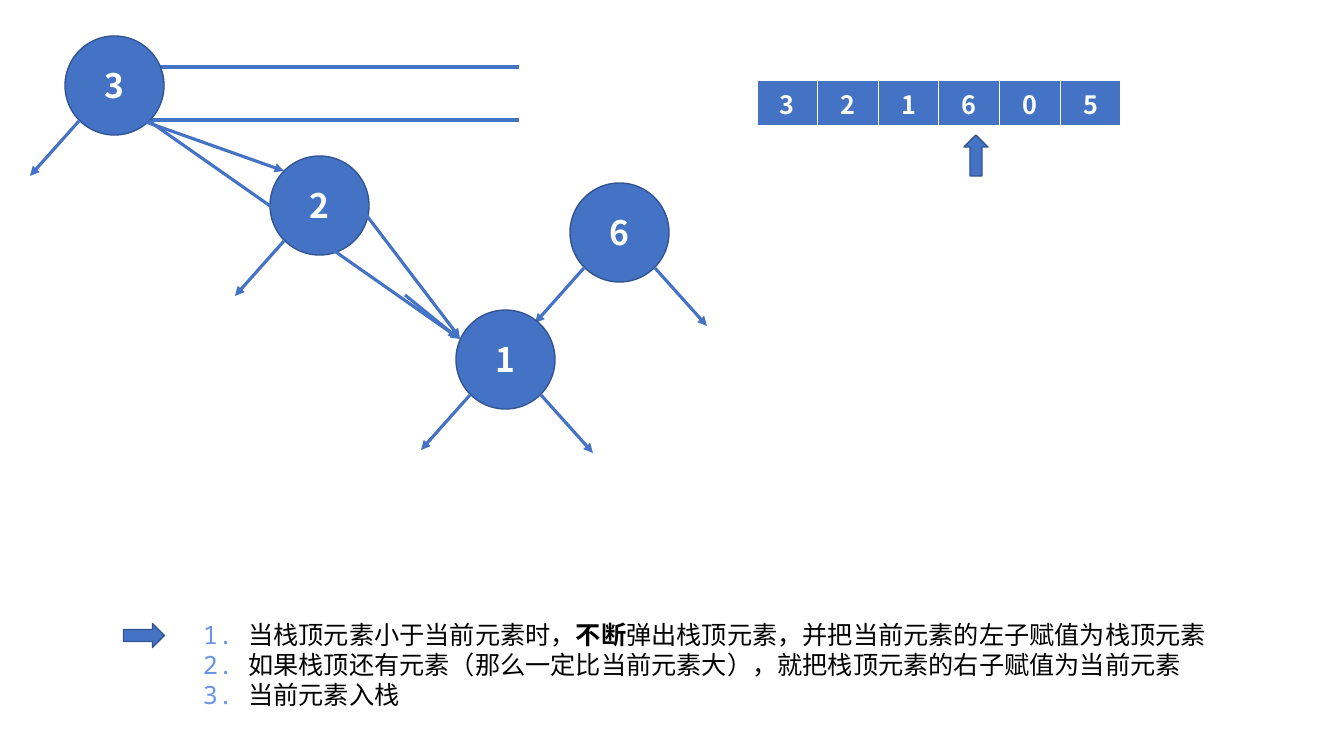
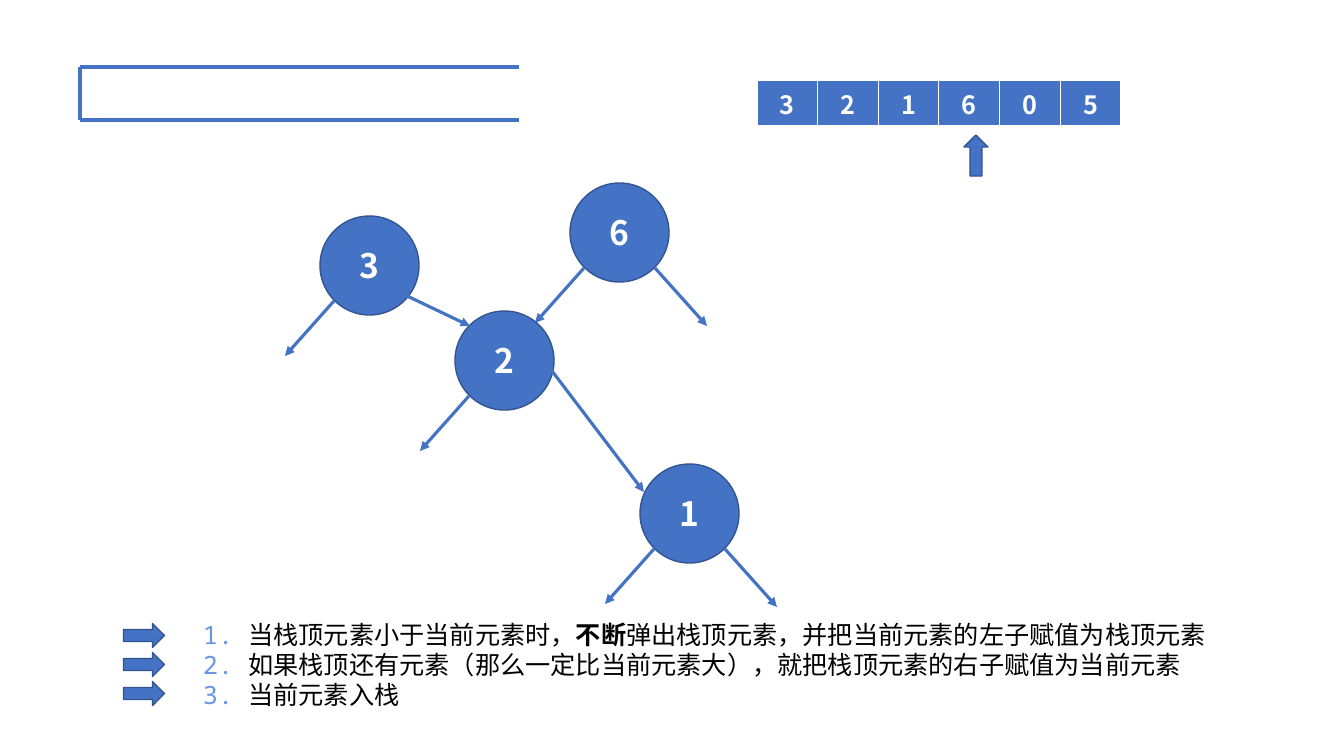
from lxml import etree
from pptx import Presentation
from pptx.dml.color import RGBColor
from pptx.enum.shapes import MSO_CONNECTOR, MSO_SHAPE
from pptx.enum.text import MSO_ANCHOR, PP_ALIGN
from pptx.oxml.ns import qn
from pptx.util import Pt

STRAIGHT = MSO_CONNECTOR.STRAIGHT
OVAL, UP_ARROW = MSO_SHAPE.OVAL, MSO_SHAPE.UP_ARROW
MIDDLE, CENTER, LEFT = MSO_ANCHOR.MIDDLE, PP_ALIGN.CENTER, PP_ALIGN.LEFT

SCALE = 12192000 / 1344
COLORS = {"blue": "4472C4", "edge": "325491", "white": "FFFFFF",
          "number": "6796E6", "black": "000000"}
SANS, MONO = "Noto Sans CJK SC", "Noto Sans Mono"

VALUES = "321605"
NODE_SIZE = 99
LEFT_CHILD = ((14, 85), (-35, 140))
RIGHT_CHILD = ((85, 85), (137, 143))
RIGHT_LINK = (94, 56)
NODE_SIX = ("6", 570, 183, (LEFT_CHILD, RIGHT_CHILD))
STEPS = [
    [("1. ", "number", False), ("当栈顶元素小于当前元素时，", "black", False),
     ("不断", "black", True),
     ("弹出栈顶元素，并把当前元素的左子赋值为栈顶元素", "black", False)],
    [("2. ", "number", False),
     ("如果栈顶还有元素（那么一定比当前元素大），就把栈顶元素的右子赋值为当前元素",
      "black", False)],
    [("3. ", "number", False), ("当前元素入栈", "black", False)],
]


def px(length):
    return round(length * SCALE)


def rgb(name):
    return RGBColor.from_string(COLORS[name])


def add_text(para, text, size=18, font=SANS, color="white", bold=False, align=LEFT):
    para.alignment = align
    span = para.add_run()
    span.text = text
    span.font.size = Pt(size)
    span.font.bold = bold
    span.font.name = font
    span.font.color.rgb = rgb(color)
    east_asian = etree.SubElement(span.font._element, qn("a:ea"))
    east_asian.set("typeface", font)


def add_line(page, start, end, arrow=False):
    line = page.shapes.add_connector(STRAIGHT, *map(px, start + end))
    line.line.color.rgb = rgb("blue")
    line.line.width = Pt(2.25)
    if arrow:
        etree.SubElement(line.line._get_or_add_ln(), qn("a:tailEnd"), type="triangle")
    etree.SubElement(line._element.spPr, qn("a:effectLst"))


def add_blue_shape(page, kind, left, top, width, height):
    shape = page.shapes.add_shape(kind, *map(px, (left, top, width, height)))
    shape.shadow.inherit = False
    shape.fill.solid()
    shape.fill.fore_color.rgb = rgb("blue")
    shape.line.color.rgb = rgb("edge")
    shape.line.width = Pt(1)
    return shape


def add_pointer(page, left, top, rotation=0):
    add_blue_shape(page, UP_ARROW, left, top, 24, 41).rotation = rotation


def add_node(page, label, left, top, children):
    circle = add_blue_shape(page, OVAL, left, top, NODE_SIZE, NODE_SIZE)
    circle.text_frame.vertical_anchor = MIDDLE
    add_text(circle.text_frame.paragraphs[0], label, size=24, bold=True, align=CENTER)
    for start, end in children:
        add_line(page, (left + start[0], top + start[1]),
                 (left + end[0], top + end[1]), arrow=True)


def add_array(page, left, top, width, height):
    table = page.shapes.add_table(
        1, len(VALUES), *map(px, (left, top, width, height))).table
    table.horz_banding = False
    for column, value in enumerate(VALUES):
        table.columns[column].width = px(width / len(VALUES))
        cell = table.cell(0, column)
        add_text(cell.text_frame.paragraphs[0], value, bold=True, align=CENTER)
        properties = cell._tc.get_or_add_tcPr()
        for side, points in (("L", 1), ("R", 1), ("T", 1), ("B", 3)):
            border = etree.SubElement(properties, qn("a:ln" + side), w=str(Pt(points)))
            fill = etree.SubElement(border, qn("a:solidFill"))
            etree.SubElement(fill, qn("a:srgbClr"), val=COLORS["white"])
        cell.fill.solid()
        cell.fill.fore_color.rgb = rgb("blue")


def add_stack(page, left, top, width, height):
    right, bottom = left + width, top + height
    add_line(page, (left, top), (right, top))
    add_line(page, (left, bottom), (right, bottom))
    add_line(page, (left, top), (left, bottom))


def add_steps(page, left, top, width, height, pointers):
    frame = page.shapes.add_textbox(*map(px, (left, top, width, height))).text_frame
    frame.word_wrap = True
    for index, spans in enumerate(STEPS):
        para = frame.add_paragraph() if index else frame.paragraphs[0]
        para.line_spacing = Pt(21.6)
        for text, color, bold in spans:
            add_text(para, text, font=MONO, color=color, bold=bold)
    for index in range(pointers):
        add_pointer(page, left - 61, top + 1 + 29 * index, rotation=90)


def add_tree_page(deck, nodes, links, pointers):
    page = deck.slides.add_slide(deck.slide_layouts[6])
    add_array(page, 757, 80, 364, 41)
    add_pointer(page, 964, 135)
    add_stack(page, 80, 67, 439, 53)
    add_steps(page, 193, 614, 1027, 102, pointers)
    for node in nodes:
        add_node(page, *node)
    for start, end in links:
        add_line(page, start, end, arrow=True)


def add_chain(two, one):
    right_link = (RIGHT_LINK, (one[0] - two[0] + 4, one[1] - two[1] + 28))
    return [("2", *two, (LEFT_CHILD, right_link)),
            ("1", *one, (LEFT_CHILD, RIGHT_CHILD))]


deck = Presentation()
deck.slide_width, deck.slide_height = px(1344), px(756)
add_tree_page(
    deck,
    [("3", 65, 36, (LEFT_CHILD,)), NODE_SIX, *add_chain((270, 156), (456, 310))],
    [((146, 122), (284, 171)), ((149, 121), (460, 339)), ((405, 295), (458, 338))],
    pointers=1)
add_tree_page(
    deck,
    [NODE_SIX, ("3", 320, 216, (LEFT_CHILD,)), *add_chain((455, 311), (640, 464))],
    [((405, 295), (470, 326))],
    pointers=3)
deck.save("out.pptx")
